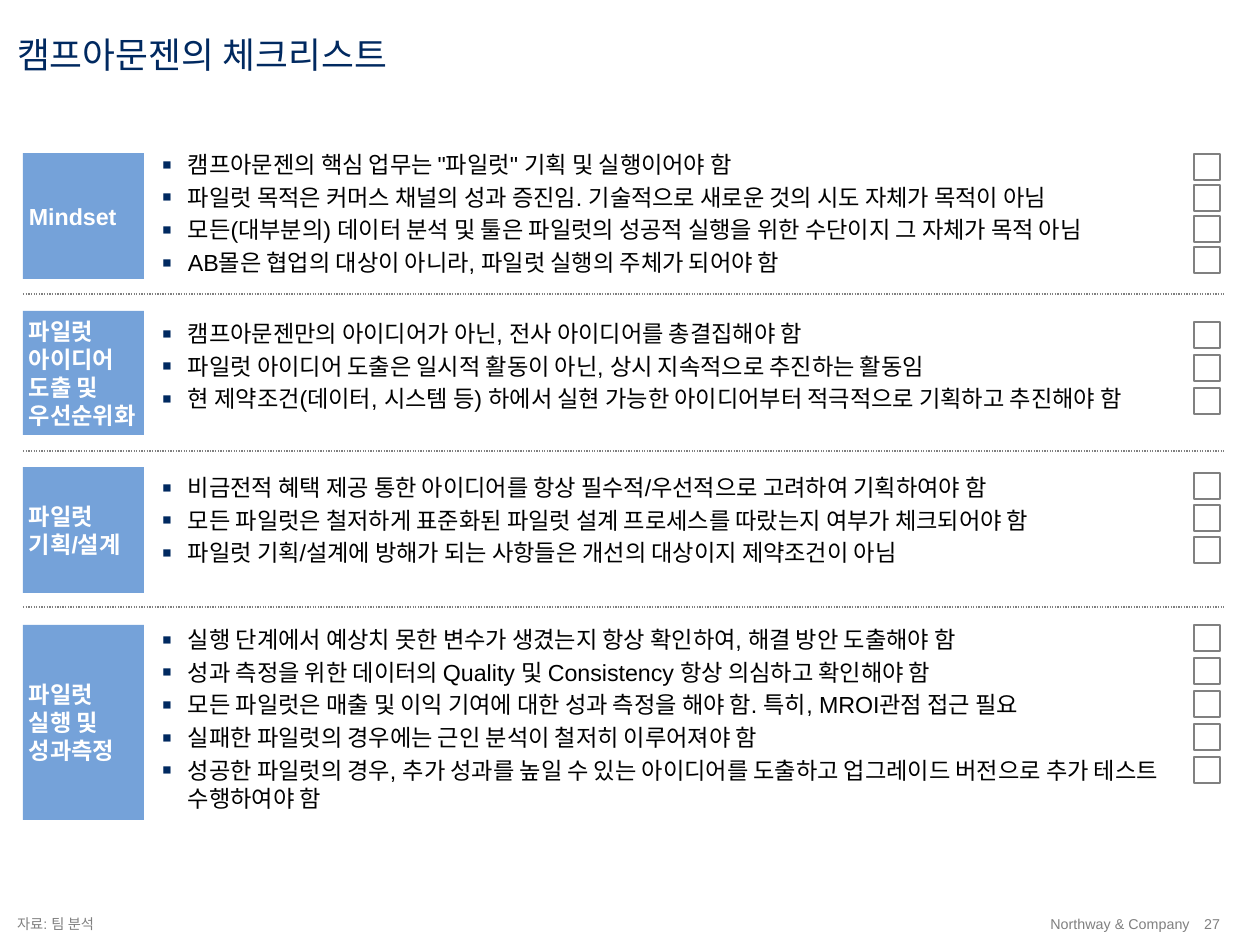
"""Build the Camp Amundsen checklist slide."""
from dataclasses import dataclass

from lxml import etree
from pptx import Presentation
from pptx.dml.color import RGBColor
from pptx.enum.dml import MSO_LINE
from pptx.enum.shapes import MSO_CONNECTOR, MSO_SHAPE
from pptx.enum.text import MSO_ANCHOR, MSO_AUTO_SIZE, PP_ALIGN
from pptx.oxml.ns import qn
from pptx.util import Pt

RECTANGLE = MSO_SHAPE.RECTANGLE
STRAIGHT = MSO_CONNECTOR.STRAIGHT
DOTTED = MSO_LINE.ROUND_DOT
TOP, MIDDLE, BOTTOM = MSO_ANCHOR.TOP, MSO_ANCHOR.MIDDLE, MSO_ANCHOR.BOTTOM
LEFT, RIGHT = PP_ALIGN.LEFT, PP_ALIGN.RIGHT
NO_AUTOFIT = MSO_AUTO_SIZE.NONE
EMU_PER_PX = 7112


@dataclass(frozen=True)
class Theme:
    navy: str = "002960"
    blue: str = "75A2D9"
    grey: str = "808080"
    black: str = "000000"
    white: str = "FFFFFF"
    latin: str = "Arial"
    korean: str = "Noto Sans CJK KR"
    title_size: float = 20
    body_size: float = 13
    note_size: float = 8
    line_width: float = 0.75
    line_pitch: float = 15.7
    item_gap: float = 2.6


@dataclass(frozen=True)
class Section:
    label: str
    top: int
    height: int
    items_top: int
    items_height: int
    boxes_top: int
    box_step: int
    items: tuple[str, ...]


@dataclass(frozen=True)
class Note:
    text: str
    left: int
    top: int
    width: int
    height: int
    anchor: MSO_ANCHOR
    align: PP_ALIGN


THEME = Theme()
SECTIONS = (
    Section("Mindset", 153, 126, 150, 130, 154, 31, (
        '캠프아문젠의 핵심 업무는 "파일럿" 기획 및 실행이어야 함',
        "파일럿 목적은 커머스 채널의 성과 증진임. 기술적으로 새로운 것의 시도 자체가 목적이 아님",
        "모든(대부분의) 데이터 분석 및 툴은 파일럿의 성공적 실행을 위한 수단이지 그 자체가 목적 아님",
        "AB몰은 협업의 대상이 아니라, 파일럿 실행의 주체가 되어야 함",
    )),
    Section("파일럿\v아이디어\v도출 및\v우선순위화", 311, 124, 319, 95, 322, 33, (
        "캠프아문젠만의 아이디어가 아닌, 전사 아이디어를 총결집해야 함",
        "파일럿 아이디어 도출은 일시적 활동이 아닌, 상시 지속적으로 추진하는 활동임",
        "현 제약조건(데이터, 시스템 등) 하에서 실현 가능한 아이디어부터 적극적으로 기획하고 추진해야 함",
    )),
    Section("파일럿\v기획/설계", 467, 126, 473, 95, 473, 32, (
        "비금전적 혜택 제공 통한 아이디어를 항상 필수적/우선적으로 고려하여 기획하여야 함",
        "모든 파일럿은 철저하게 표준화된 파일럿 설계 프로세스를 따랐는지 여부가 체크되어야 함",
        "파일럿 기획/설계에 방해가 되는 사항들은 개선의 대상이지 제약조건이 아님",
    )),
    Section("파일럿\v실행 및\v성과측정", 625, 195, 625, 192, 625, 33, (
        "실행 단계에서 예상치 못한 변수가 생겼는지 항상 확인하여, 해결 방안 도출해야 함",
        "성과 측정을 위한 데이터의 Quality 및 Consistency 항상 의심하고 확인해야 함",
        "모든 파일럿은 매출 및 이익 기여에 대한 성과 측정을 해야 함. 특히, MROI관점 접근 필요",
        "실패한 파일럿의 경우에는 근인 분석이 철저히 이루어져야 함",
        "성공한 파일럿의 경우, 추가 성과를 높일 수 있는 아이디어를 도출하고 업그레이드 버전으로 추가 테스트 수행하여야 함",
    )),
)
DIVIDER_TOPS = (294, 451, 607)
NOTES = (
    Note("자료: 팀 분석", 17, 914, 1012, 18, BOTTOM, LEFT),
    Note("Northway & Company", 1030, 915, 160, 17, MIDDLE, RIGHT),
    Note("27", 1190, 915, 30, 17, MIDDLE, RIGHT),
)


def px(*lengths: int) -> list[int]:
    return [length * EMU_PER_PX for length in lengths]


def style(paragraph, size: float, color: str, latin: str = THEME.latin, bold: bool = False) -> None:
    font = paragraph.font
    font.size, font.bold, font.name = Pt(size), bold, latin
    font.color.rgb = RGBColor.from_string(color)
    defaults = paragraph._p.pPr.find(qn("a:defRPr"))
    etree.SubElement(defaults, qn("a:ea"), typeface=THEME.korean)


def set_frame(frame, anchor: MSO_ANCHOR, inset: int = 0) -> None:
    frame.word_wrap = True
    frame.auto_size = NO_AUTOFIT
    frame.vertical_anchor = anchor
    margin = inset * EMU_PER_PX
    frame.margin_left = frame.margin_right = margin
    frame.margin_top = frame.margin_bottom = margin


def add_bullet(paragraph) -> None:
    properties = paragraph._p.get_or_add_pPr()
    indent = 26 * EMU_PER_PX
    properties.set("marL", str(indent))
    properties.set("indent", str(-indent))
    color = etree.SubElement(properties, qn("a:buClr"))
    etree.SubElement(color, qn("a:srgbClr"), val=THEME.navy)
    etree.SubElement(properties, qn("a:buSzPct"), val="125000")
    etree.SubElement(properties, qn("a:buFont"), typeface=THEME.latin)
    etree.SubElement(properties, qn("a:buChar"), char="▪")


def add_rectangle(slide, left: int, top: int, width: int, height: int, fill: str):
    rectangle = slide.shapes.add_shape(RECTANGLE, *px(left, top, width, height))
    rectangle.shadow.inherit = False
    rectangle.fill.solid()
    rectangle.fill.fore_color.rgb = RGBColor.from_string(fill)
    return rectangle


def add_label(slide, section: Section) -> None:
    label = add_rectangle(slide, 23, section.top, 121, section.height, THEME.blue)
    label.line.fill.background()
    set_frame(label.text_frame, MIDDLE, 6)
    paragraph = label.text_frame.paragraphs[0]
    paragraph.text = section.label
    paragraph.alignment = LEFT
    paragraph.line_spacing = Pt(THEME.line_pitch)
    style(paragraph, THEME.body_size, THEME.white, bold=True)


def add_items(slide, section: Section) -> None:
    area = px(162, section.items_top, 1012, section.items_height)
    frame = slide.shapes.add_textbox(*area).text_frame
    set_frame(frame, TOP)
    for index, item in enumerate(section.items):
        paragraph = frame.add_paragraph() if index else frame.paragraphs[0]
        paragraph.text = item
        add_bullet(paragraph)
        paragraph.line_spacing = Pt(THEME.line_pitch)
        if index:
            paragraph.space_before = Pt(THEME.item_gap)
        style(paragraph, THEME.body_size, THEME.black)


def add_checkboxes(slide, section: Section) -> None:
    for index in range(len(section.items)):
        top = section.boxes_top + index * section.box_step
        checkbox = add_rectangle(slide, 1194, top, 26, 26, THEME.white)
        checkbox.line.color.rgb = RGBColor.from_string(THEME.grey)
        checkbox.line.width = Pt(THEME.line_width)


def add_divider(slide, top: int) -> None:
    divider = slide.shapes.add_connector(STRAIGHT, *px(23, top, 1224, top))
    divider.line.color.rgb = RGBColor.from_string(THEME.grey)
    divider.line.width = Pt(THEME.line_width)
    divider.line.dash_style = DOTTED
    etree.SubElement(divider._element.spPr, qn("a:effectLst"))


def add_note(slide, note: Note) -> None:
    area = px(note.left, note.top, note.width, note.height)
    frame = slide.shapes.add_textbox(*area).text_frame
    set_frame(frame, note.anchor)
    paragraph = frame.paragraphs[0]
    paragraph.text = note.text
    paragraph.alignment = note.align
    style(paragraph, THEME.note_size, THEME.grey)


def set_title(slide, text: str) -> None:
    title = slide.shapes.title
    title.left, title.top, title.width, title.height = px(17, 32, 1212, 44)
    set_frame(title.text_frame, TOP)
    paragraph = title.text_frame.paragraphs[0]
    paragraph.text = text
    paragraph.alignment = LEFT
    paragraph.line_spacing = Pt(24.5)
    style(paragraph, THEME.title_size, THEME.navy, latin=THEME.korean)


def main() -> None:
    deck = Presentation()
    deck.slide_width, deck.slide_height = px(1260, 945)
    slide = deck.slides.add_slide(deck.slide_layouts[5])
    set_title(slide, "캠프아문젠의 체크리스트")
    for section in SECTIONS:
        add_label(slide, section)
        add_items(slide, section)
        add_checkboxes(slide, section)
    for top in DIVIDER_TOPS:
        add_divider(slide, top)
    for note in NOTES:
        add_note(slide, note)
    deck.save("out.pptx")


if __name__ == "__main__":
    main()
